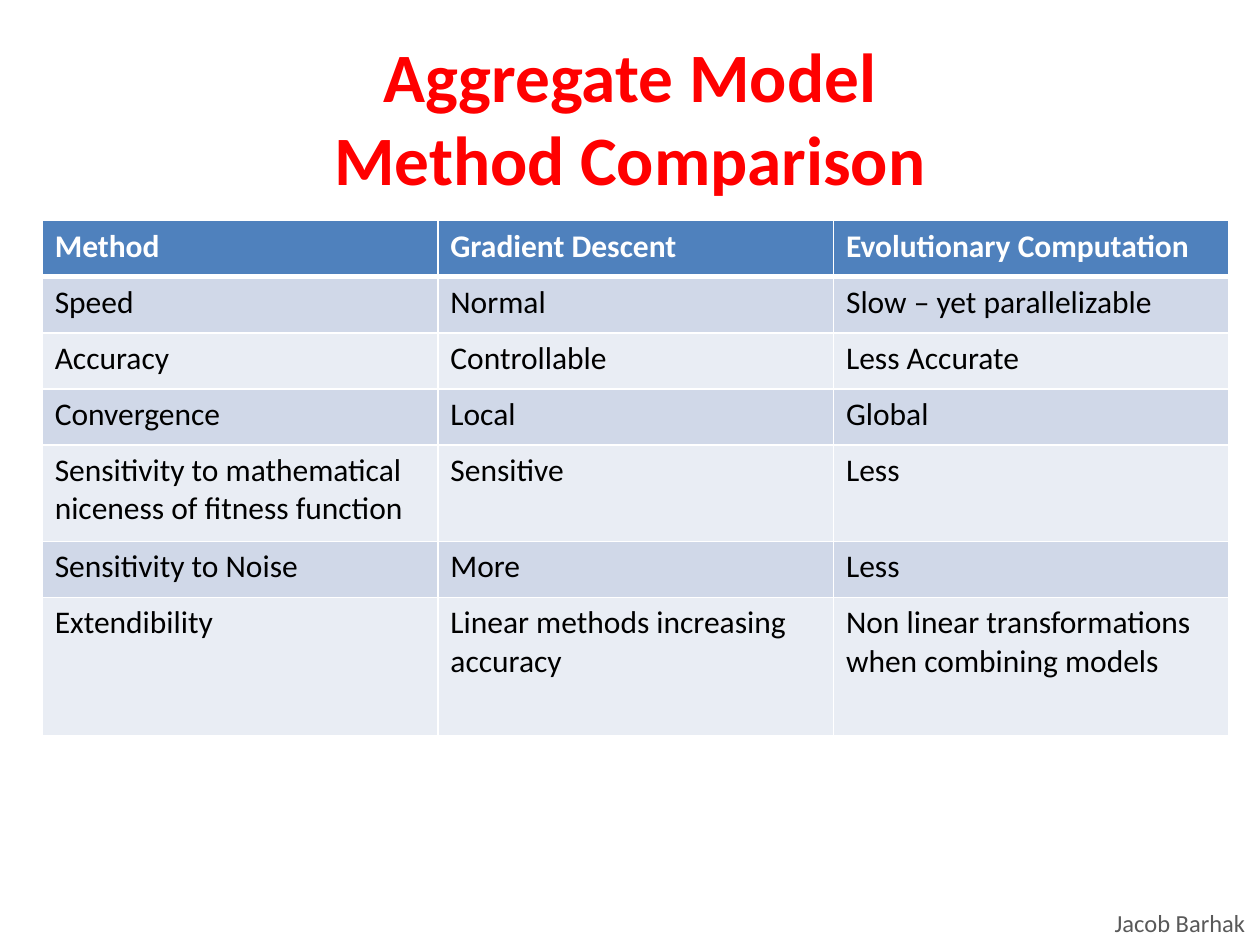
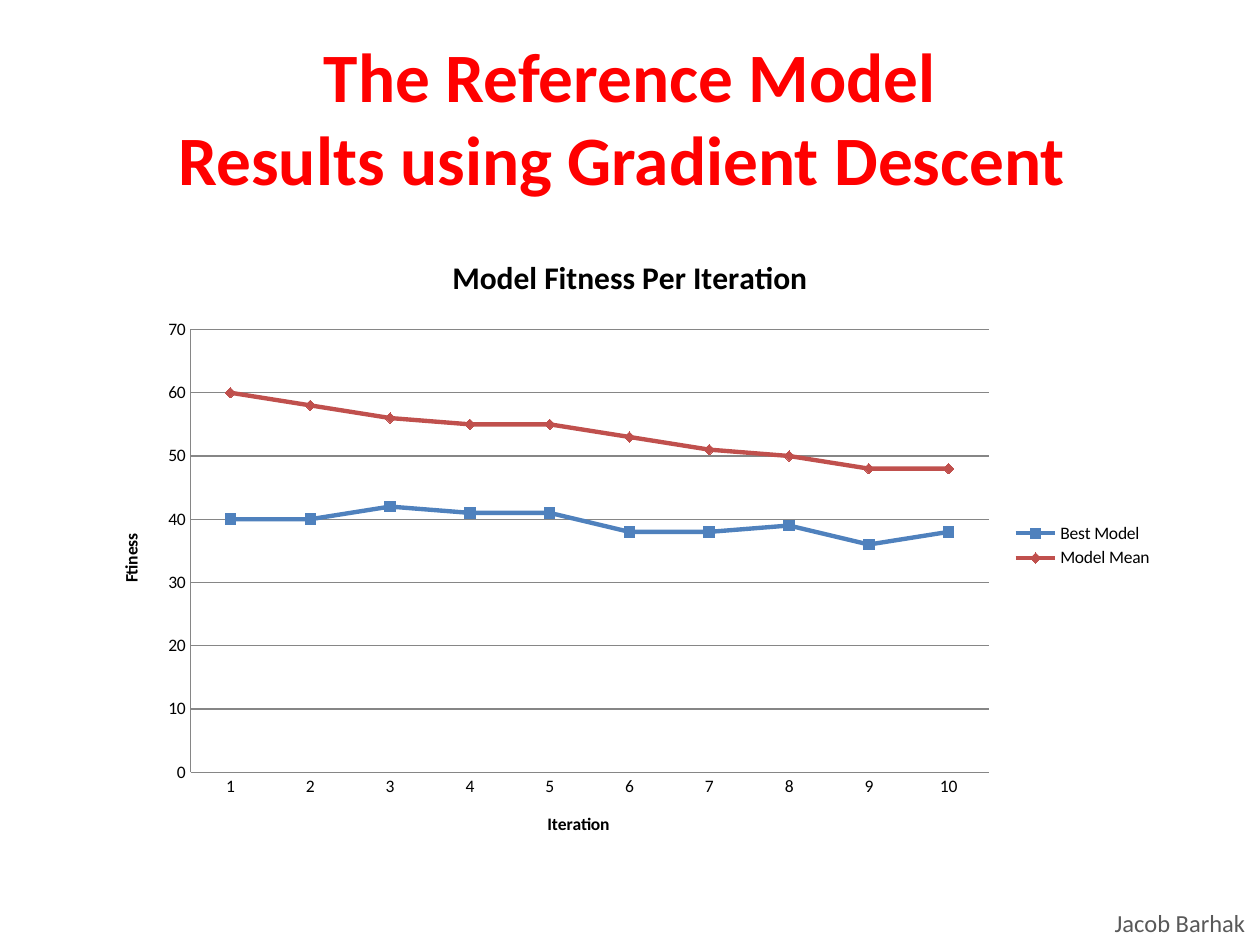
from dataclasses import dataclass

from lxml import etree
from pptx import Presentation
from pptx.chart.data import CategoryChartData
from pptx.dml.color import RGBColor
from pptx.enum.chart import (XL_CHART_TYPE, XL_LEGEND_POSITION,
                             XL_MARKER_STYLE, XL_TICK_MARK)
from pptx.enum.text import MSO_ANCHOR, MSO_AUTO_SIZE, PP_ALIGN
from pptx.oxml.ns import qn
from pptx.util import Cm, Pt

CENTER, LEFT = PP_ALIGN.CENTER, PP_ALIGN.LEFT
MIDDLE, TOP = MSO_ANCHOR.MIDDLE, MSO_ANCHOR.TOP
GROW = MSO_AUTO_SIZE.SHAPE_TO_FIT_TEXT
LINE = XL_CHART_TYPE.LINE_MARKERS
RIGHT = XL_LEGEND_POSITION.RIGHT
SQUARE, DIAMOND = XL_MARKER_STYLE.SQUARE, XL_MARKER_STYLE.DIAMOND
NO_TICK = XL_TICK_MARK.NONE

# Content
AUTHOR = "Jacob Barhak"
TABLE_HEAD = "Aggregate Model\nMethod Comparison"
CHART_HEAD = "The Reference Model\nResults using Gradient Descent "
METHODS = [
    ("Method", "Gradient Descent", "Evolutionary Computation"),
    ("Speed", "Normal", "Slow – yet parallelizable"),
    ("Accuracy", "Controllable", "Less Accurate"),
    ("Convergence", "Local", "Global"),
    ("Sensitivity to mathematical niceness of fitness function",
     "Sensitive", "Less"),
    ("Sensitivity to Noise", "More", "Less"),
    ("Extendibility", "Linear methods increasing accuracy",
     "Non linear transformations when combining models"),
]
FITNESS = {
    "Best Model": [40, 40, 42, 41, 41, 38, 38, 39, 36, 38],
    "Model Mean": [60, 58, 56, 55, 55, 53, 51, 50, 48, 48],
}
CHART_TITLE = "Model Fitness Per Iteration"
X_TITLE, Y_TITLE = "Iteration", "Ftiness"


# Theme
@dataclass(frozen=True)
class Theme:
    font: str = "Calibri"
    title: str = "FF0000"
    foot: str = "595959"
    text: str = "000000"
    white: str = "FFFFFF"
    head: str = "4F81BD"
    bands: tuple = ("D0D8E8", "E9EDF4")
    lines: tuple = ("4F81BD", "C0504D")
    grid: str = "868686"
    title_size: float = 39.6
    body_size: float = 18
    foot_size: float = 14
    chart_size: float = 10


THEME = Theme()

# Places: left, top, width, height in cm
TITLE_BOX = (1.27, 0.76, 22.86, 3.18)
FOOT_BOX = (22.22, 18.19, 3.18, 0.86)
TABLE_BOX = (0.85, 4.45, 23.93, 10.36)
CHART_BOX = (1.9, 4.65, 21.6, 12.7)
ROW, TALL, LAST = 1.13, 1.95, 2.79
ROWS = [ROW] * 4 + [TALL, ROW, LAST]


def place(box):
    return [Cm(part) for part in box]


def paint(font, size, color, bold=False):
    font.name = THEME.font
    font.size = Pt(size)
    font.bold = bold
    font.color.rgb = RGBColor.from_string(color)


def write(frame, text, size, color, bold=False, align=LEFT):
    para = frame.paragraphs[0]
    para.text = text
    para.alignment = align
    for run in para.runs:
        paint(run.font, size, color, bold)


# Shared frame: title and footer
def add_page(deck, title):
    page = deck.slides.add_slide(deck.slide_layouts[6])
    foot = page.shapes.add_textbox(*place(FOOT_BOX)).text_frame
    foot.word_wrap = False
    foot.auto_size = GROW
    write(foot, AUTHOR, THEME.foot_size, THEME.foot)
    head = page.shapes.add_textbox(*place(TITLE_BOX)).text_frame
    head.word_wrap = True
    head.vertical_anchor = MIDDLE
    write(head, title, THEME.title_size, THEME.title, True, CENTER)
    return page


# Table
def add_edges(cell, top, low):
    props = cell._tc.get_or_add_tcPr()
    edges = (("lnL", 1), ("lnR", 1), ("lnT", top), ("lnB", low))
    for spot, (tag, width) in enumerate(edges):
        line = etree.Element(qn(f"a:{tag}"), w=str(Pt(width)))
        fill = etree.SubElement(line, qn("a:solidFill"))
        etree.SubElement(fill, qn("a:srgbClr"), val=THEME.white)
        props.insert(spot, line)


def add_grid(page):
    rows, cols = len(METHODS), len(METHODS[0])
    grid = page.shapes.add_table(rows, cols, *place(TABLE_BOX)).table
    for col in grid.columns:
        col.width = Cm(TABLE_BOX[2] / cols)
    for r, (texts, height) in enumerate(zip(METHODS, ROWS)):
        grid.rows[r].height = Cm(height)
        top = r == 0
        back = THEME.head if top else THEME.bands[(r - 1) % 2]
        ink = THEME.white if top else THEME.text
        for c, text in enumerate(texts):
            cell = grid.cell(r, c)
            cell.vertical_anchor = TOP
            cell.fill.solid()
            cell.fill.fore_color.rgb = RGBColor.from_string(back)
            add_edges(cell, 3 if r == 1 else 1, 3 if top else 1)
            write(cell.text_frame, text, THEME.body_size, ink, top)


# Chart
def style_axis(axis, title):
    axis.major_tick_mark = axis.minor_tick_mark = NO_TICK
    axis.format.line.color.rgb = RGBColor.from_string(THEME.grid)
    paint(axis.tick_labels.font, THEME.chart_size, THEME.text)
    write(axis.axis_title.text_frame, title, THEME.chart_size,
          THEME.text, True, CENTER)


def style_line(line, color, mark):
    tone = RGBColor.from_string(color)
    line.smooth = False
    line.format.line.color.rgb = tone
    line.format.line.width = Pt(2.5)
    line.marker.style = mark
    line.marker.size = 6
    line.marker.format.fill.solid()
    line.marker.format.fill.fore_color.rgb = tone
    line.marker.format.line.color.rgb = tone


def add_plot(page):
    data = CategoryChartData()
    count = len(FITNESS["Best Model"])
    data.categories = [str(n + 1) for n in range(count)]
    for name, vals in FITNESS.items():
        data.add_series(name, vals)
    chart = page.shapes.add_chart(LINE, *place(CHART_BOX), data).chart
    paint(chart.font, THEME.chart_size, THEME.text)
    chart.has_title = True
    write(chart.chart_title.text_frame, CHART_TITLE, THEME.body_size,
          THEME.text, True, CENTER)
    chart.has_legend = True
    chart.legend.position = RIGHT
    chart.legend.include_in_layout = False
    paint(chart.legend.font, THEME.chart_size, THEME.text)
    style_axis(chart.category_axis, X_TITLE)
    axis = chart.value_axis
    style_axis(axis, Y_TITLE)
    axis.minimum_scale, axis.maximum_scale, axis.major_unit = 0, 70, 10
    axis.has_major_gridlines = True
    axis.major_gridlines.format.line.color.rgb = RGBColor.from_string(THEME.grid)
    plot = chart.plots[0]
    plot.vary_by_categories = False
    for line, color, mark in zip(plot.series, THEME.lines, (SQUARE, DIAMOND)):
        style_line(line, color, mark)


def main():
    deck = Presentation()
    deck.slide_width, deck.slide_height = Cm(25.4), Cm(19.05)
    add_grid(add_page(deck, TABLE_HEAD))
    add_plot(add_page(deck, CHART_HEAD))
    deck.save("out.pptx")


if __name__ == "__main__":
    main()
